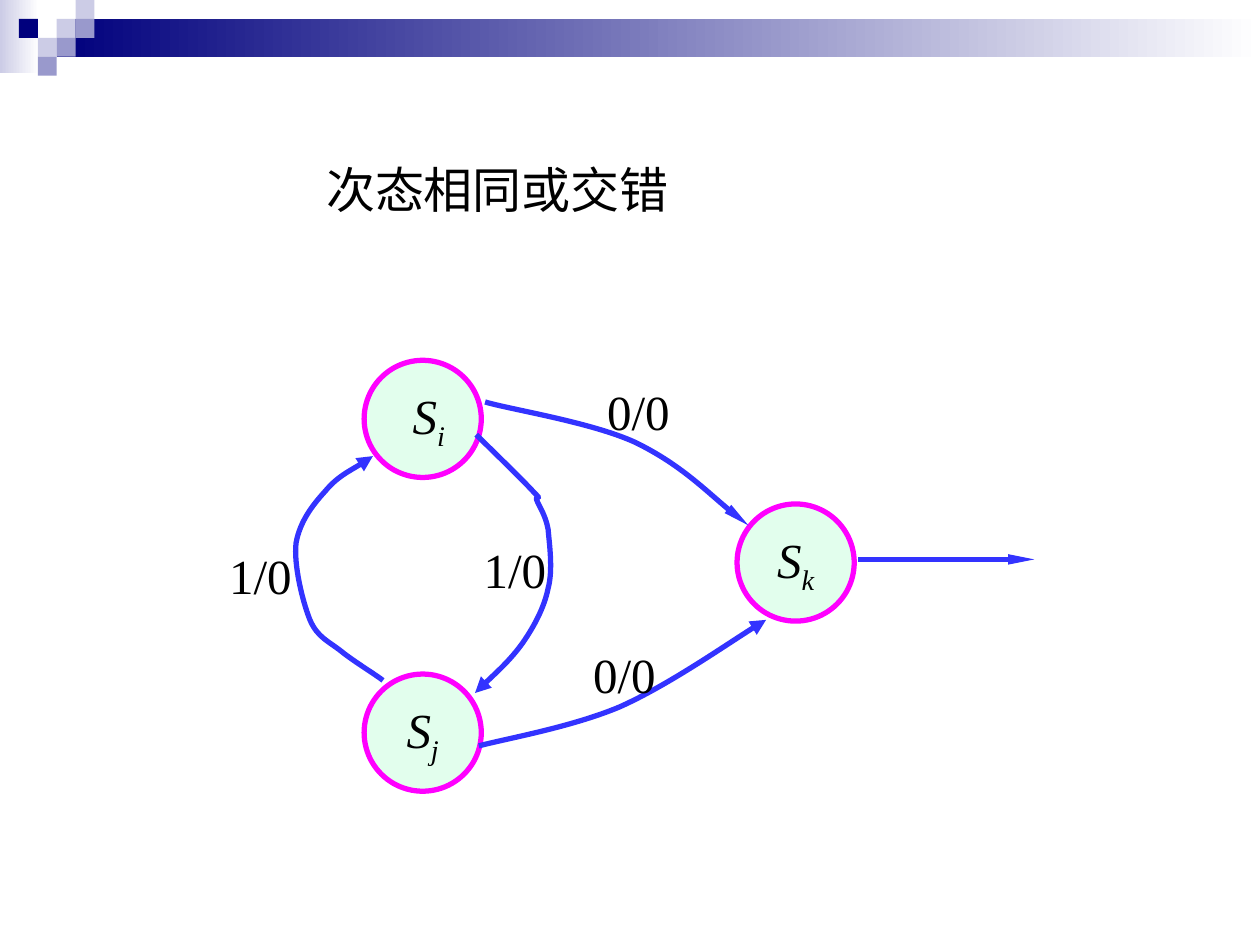
from dataclasses import dataclass

from lxml.etree import SubElement
from pptx import Presentation
from pptx.dml.color import RGBColor
from pptx.enum.shapes import MSO_CONNECTOR, MSO_SHAPE
from pptx.enum.text import MSO_ANCHOR, MSO_AUTO_SIZE, PP_ALIGN
from pptx.oxml.ns import qn
from pptx.util import Inches, Pt


@dataclass(frozen=True)
class Theme:
    """Colours, font and sizes of the slide."""
    navy: str = "00007D"
    violet: str = "9999CC"
    lilac: str = "CCCCE6"
    white: str = "FFFFFF"
    black: str = "000000"
    mint: str = "E2FEED"
    magenta: str = "FF00FF"
    blue: str = "3333FF"
    font: str = "Times New Roman"
    text_size: int = 28
    line_width: int = 3


THEME = Theme()
SQUARE = 0.15
SQUARES = [
    (3, 1, THEME.lilac), (4, 0, THEME.lilac), (4, 1, THEME.violet),
    (2, 2, THEME.lilac), (1, 1, THEME.navy), (3, 2, THEME.violet),
    (2, 3, THEME.violet),
]
DIAMETER = 0.93
STATES = [(" S", "i", 2.89, 2.86), ("S", "j", 2.89, 5.35), ("S", "k", 5.85, 4)]
LABELS = [("0/0", 4.61, 5.07), ("1/0", 1.72, 4.28), ("1/0", 3.74, 4.23), ("0/0", 4.72, 2.98)]
MEDIUM_HEAD = {"type": "triangle", "w": "med", "len": "med"}
SLIM_HEAD = {"type": "triangle", "w": "sm", "len": "lg"}
CURVES = [
    (MEDIUM_HEAD, [(3.8, 5.92), (4.03, 5.86), (4.54, 5.77), (4.92, 5.61),
                   (5.3, 5.44), (5.89, 5.03), (6.08, 4.92)]),
    (MEDIUM_HEAD, [(3.04, 5.4), (2.99, 5.36), (2.81, 5.25), (2.71, 5.17),
                   (2.61, 5.09), (2.52, 5.06), (2.46, 4.92),
                   (2.4, 4.77), (2.33, 4.48), (2.35, 4.31),
                   (2.38, 4.14), (2.48, 4.01), (2.58, 3.9),
                   (2.68, 3.78), (2.88, 3.68), (2.96, 3.62)]),
    (MEDIUM_HEAD, [(3.78, 3.45), (3.86, 3.53), (4.16, 3.82), (4.24, 3.91),
                   (4.32, 3.99), (4.24, 3.92), (4.26, 3.97),
                   (4.28, 4.02), (4.33, 4.09), (4.35, 4.2),
                   (4.36, 4.32), (4.39, 4.52), (4.35, 4.67),
                   (4.32, 4.82), (4.24, 4.97), (4.15, 5.1),
                   (4.05, 5.24), (3.85, 5.42), (3.77, 5.5)]),
    (SLIM_HEAD, [(3.85, 3.19), (4.05, 3.25), (4.69, 3.35), (5.04, 3.51),
                 (5.39, 3.68), (5.75, 4.03), (5.94, 4.17)]),
]


def color(value):
    """Turn a hex value into a colour."""
    return RGBColor.from_string(value)


def set_format(target, **values):
    """Set each given attribute on the target."""
    for name, value in values.items():
        setattr(target, name, value)


def add_run(paragraph, text, **values):
    """Add a run in the slide's text style."""
    run = paragraph.add_run()
    run.text = text
    set_format(run.font, name=THEME.font, size=Pt(THEME.text_size), **values)
    run.font.color.rgb = color(THEME.black)
    return run


def add_block(slide, left, top, width, height, *colors):
    """Add a plain rectangle filled with one colour or a gradient of two."""
    shape = slide.shapes.add_shape(
        MSO_SHAPE.RECTANGLE, Inches(left), Inches(top), Inches(width), Inches(height))
    shape.shadow.inherit = False
    shape.line.fill.background()
    if len(colors) == 1:
        shape.fill.solid()
        shape.fill.fore_color.rgb = color(colors[0])
        return
    shape.fill.gradient()
    shape.fill.gradient_angle = 0
    for stop, value in zip(shape.fill.gradient_stops, colors):
        stop.color.rgb = color(value)


def add_banner(slide, left, top, width):
    """Draw the gradient bar and its stepped squares."""
    add_block(slide, left, top, 0.31, 0.58, THEME.lilac, THEME.white)
    bar_left = left + 3 * SQUARE
    add_block(slide, bar_left, top + SQUARE, width - 3 * SQUARE, 2 * SQUARE,
              THEME.navy, THEME.white)
    for column, row, fill in SQUARES:
        add_block(slide, left + column * SQUARE, top + row * SQUARE, SQUARE, SQUARE, fill)


def add_text(slide, text, left, top, width, height=0.57):
    """Add a single line of text."""
    box = slide.shapes.add_textbox(Inches(left), Inches(top), Inches(width), Inches(height))
    set_format(box.text_frame, word_wrap=False, auto_size=MSO_AUTO_SIZE.SHAPE_TO_FIT_TEXT)
    add_run(box.text_frame.paragraphs[0], text)


def add_state(slide, name, index, left, top):
    """Draw a state circle with its subscripted name."""
    shape = slide.shapes.add_shape(
        MSO_SHAPE.OVAL, Inches(left), Inches(top), Inches(DIAMETER), Inches(DIAMETER))
    shape.shadow.inherit = False
    shape.fill.solid()
    shape.fill.fore_color.rgb = color(THEME.mint)
    shape.line.color.rgb = color(THEME.magenta)
    shape.line.width = Pt(THEME.line_width)
    set_format(shape.text_frame, word_wrap=False, vertical_anchor=MSO_ANCHOR.MIDDLE)
    paragraph = shape.text_frame.paragraphs[0]
    paragraph.alignment = PP_ALIGN.CENTER
    add_run(paragraph, name, italic=True)
    subscript = add_run(paragraph, index, italic=True)
    subscript.font._element.set("baseline", "-25000")


def style_arrow(shape, head):
    """Give a line its colour, width and arrowhead."""
    shape.line.color.rgb = color(THEME.blue)
    shape.line.width = Pt(THEME.line_width)
    SubElement(shape.line._get_or_add_ln(), qn("a:tailEnd"), head)


def add_curve(slide, head, points):
    """Draw an arrow along Bezier segments given by their control points."""
    start, *controls = [(Inches(x), Inches(y)) for x, y in points]
    builder = slide.shapes.build_freeform(*start)
    builder.add_line_segments(controls, close=False)
    shape = builder.convert_to_shape()
    shape.shadow.inherit = False
    shape.fill.background()
    segments = list(shape._element.iter(qn("a:lnTo")))
    for first in range(0, len(segments), 3):
        curve = SubElement(segments[first].getparent(), qn("a:cubicBezTo"))
        for segment in segments[first:first + 3]:
            curve.append(segment[0])
            segment.getparent().remove(segment)
    style_arrow(shape, head)


def add_output_arrow(slide, left, top, width):
    """Draw the straight arrow that leaves the last state."""
    connector = slide.shapes.add_connector(
        MSO_CONNECTOR.STRAIGHT, Inches(left), Inches(top), Inches(left + width), Inches(top))
    style_arrow(connector, SLIM_HEAD)
    SubElement(connector._element.spPr, qn("a:effectLst"))


def add_diagram(slide):
    """Draw the states, transitions and transition labels."""
    for state in STATES:
        add_state(slide, *state)
    for curve in CURVES:
        add_curve(slide, *curve)
    add_output_arrow(slide, 6.81, 4.44, 1.4)
    for label in LABELS:
        add_text(slide, *label, width=0.7)


def main():
    """Build and save the slide."""
    presentation = Presentation()
    set_format(presentation, slide_width=Inches(10), slide_height=Inches(7.5))
    slide = presentation.slides.add_slide(presentation.slide_layouts[6])
    add_banner(slide, 0, 0, 10)
    add_text(slide, "次态相同或交错", 2.49, 1.22, 2.92)
    add_diagram(slide)
    presentation.save("out.pptx")


if __name__ == "__main__":
    main()
